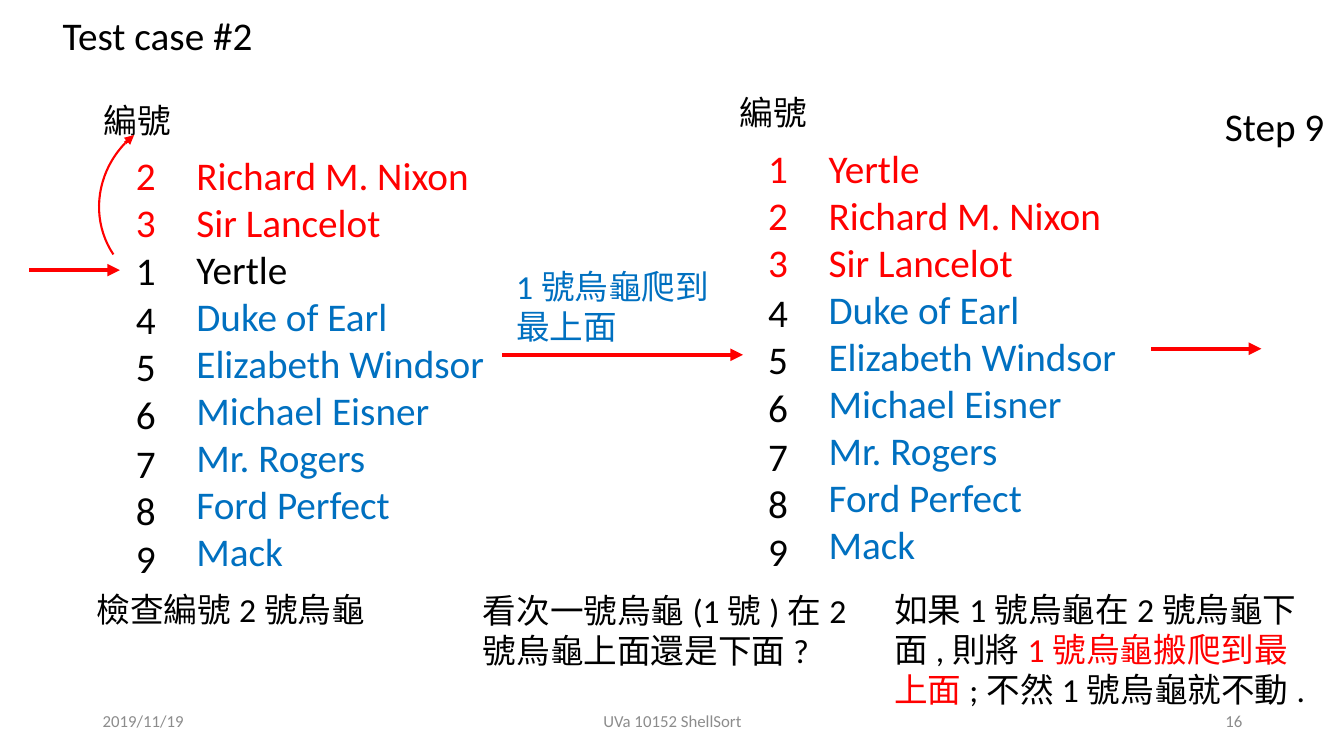
from pptx import Presentation
from pptx.util import Inches, Pt
from pptx.dml.color import RGBColor
from pptx.enum.shapes import MSO_CONNECTOR as Conn, MSO_SHAPE as Kind
from pptx.enum.text import MSO_ANCHOR as Anchor, PP_ALIGN as Align
from pptx.oxml.ns import qn
from lxml.etree import SubElement as sub

RED, BLUE, BLACK, GREY = "FF0000", "0070C0", "000000", "8C8C8C"
LATIN, ASIAN = "Calibri", "Noto Sans CJK SC"

TITLE = "Test case #2"
REST = [
    (4, "Duke of Earl"), (5, "Elizabeth Windsor"), (6, "Michael Eisner"),
    (7, "Mr. Rogers"), (8, "Ford Perfect"), (9, "Mack"),
]
STACKS = [
    {"left": 1.25, "top": 1.45, "gap": 0.6, "head": (0.93, 0.94),
     "first": [(2, "Richard M. Nixon", RED), (3, "Sir Lancelot", RED),
               (1, "Yertle", BLACK)]},
    {"left": 7.52, "top": 1.38, "gap": 0.6, "head": (7.24, 0.86),
     "first": [(1, "Yertle", RED), (2, "Richard M. Nixon", RED),
               (3, "Sir Lancelot", RED)]},
]
NOTES = [
    ((0.07, 5.79, 4.44, 0.5), [("檢查編號2號烏龜", BLACK)], Align.CENTER),
    ((4.69, 5.8, 4.19, 0.91),
     [("看次一號烏龜(1號)在2號烏龜上面還是下面?", BLACK)], Align.LEFT),
    ((8.77, 5.79, 4.28, 1.31),
     [("如果1號烏龜在2號烏龜下面,則將", BLACK),
      ("1號烏龜搬爬到最上面", RED), (";不然1號烏龜就不動.", BLACK)], Align.LEFT),
    ((5.02, 2.59, 2.34, 0.91), [("1號烏龜爬到最上面", BLUE)], Align.LEFT),
]
FOOT = [
    (0.92, 3, "2019/11/19", Align.LEFT),
    (4.42, 4.5, "UVa 10152 ShellSort", Align.CENTER),
    (9.42, 3, "16", Align.RIGHT),
]
ARROWS = [
    (0.29, 2.68, 1.19, 2.68, 3),
    (4.98, 3.52, 7.37, 3.52, 3),
    (11.42, 3.46, 12.51, 3.46, 3),
    (1.24, 1.42, 1.33, 1.34, 2.25),
]
ARC = (1.01, 1.1, 1.75, 1.83)

deck = Presentation()
deck.slide_width, deck.slide_height = Inches(13.33), Inches(7.5)
slide = deck.slides.add_slide(deck.slide_layouts[5])
shapes = slide.shapes


def paint(hue):
    return RGBColor.from_string(hue)


def place(shape, box):
    shape.left, shape.top, shape.width, shape.height = map(Inches, box)


def write(lines, box, size=28, align=Align.LEFT, anchor=Anchor.TOP, shape=None):
    shape = shape or shapes.add_textbox(0, 0, 0, 0)
    place(shape, box)
    frame = shape.text_frame
    frame.word_wrap = True
    frame.vertical_anchor = anchor
    for i, runs in enumerate(lines):
        para = frame.add_paragraph() if i else frame.paragraphs[0]
        para.alignment = align
        para.line_spacing = 1.0
        for text, hue in runs:
            run = para.add_run()
            run.text = text
            run.font.size = Pt(size)
            run.font.name = LATIN
            run.font.color.rgb = paint(hue)
            sub(run.font._element, qn("a:ea"), typeface=ASIAN)


def arrow(x1, y1, x2, y2, width):
    line = shapes.add_connector(Conn.STRAIGHT, *map(Inches, (x1, y1, x2, y2)))
    line.line.color.rgb = paint(RED)
    line.line.width = Pt(width)
    sub(line.line._get_or_add_ln(), qn("a:tailEnd"), type="triangle")
    sub(line._element.spPr, qn("a:effectLst"))


def stack(left, top, gap, head, first):
    rows = first + [(num, name, BLUE) for num, name in REST]
    write([[("編號", BLACK)]], (*head, 0.96, 0.5), size=24)
    write([[(name, hue)] for _, name, hue in rows],
          (left + gap, top, 3.44, 4.34))
    for i, (num, _, hue) in enumerate(rows):
        tone = RED if hue == RED else BLACK
        y = top + 0.47 * i + 0.02 * (i // 3)
        write([[(str(num), tone)]], (left, y, 0.39, 0.57))


write([[(TITLE, BLACK)]], (0.52, 0.06, 2.1, 0.57), shape=shapes.title)
for x, width, text, align in FOOT:
    write([[(text, GREY)]], (x, 6.95, width, 0.4), size=12, align=align,
          anchor=Anchor.MIDDLE)
for box, runs, align in NOTES:
    write([runs], box, size=24, align=align)
for item in STACKS:
    stack(**item)
for ends in ARROWS:
    arrow(*ends)

arc = shapes.add_shape(Kind.ARC, *map(Inches, ARC))
arc.adjustments[0], arc.adjustments[1] = 162, 207.82
arc.rotation = 236.2
arc.shadow.inherit = False
arc.fill.background()
arc.line.color.rgb = paint(RED)
arc.line.width = Pt(1.5)

write([[("Step 9", BLACK)]], (12.05, 0.97, 1.49, 0.57))

deck.save("out.pptx")
